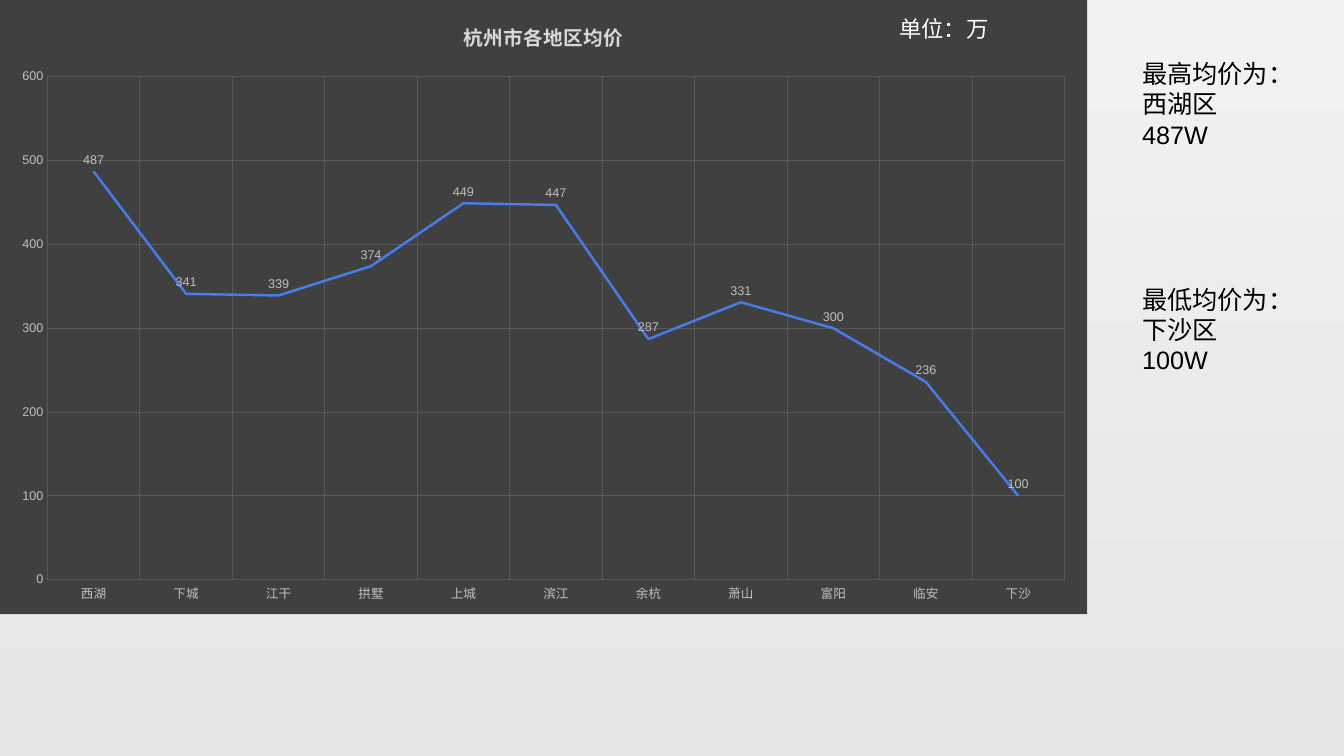
from lxml import etree
from pptx import Presentation
from pptx.chart.data import CategoryChartData
from pptx.dml.color import RGBColor
from pptx.enum.chart import XL_CHART_TYPE, XL_LABEL_POSITION, XL_MARKER_STYLE, XL_TICK_MARK
from pptx.oxml import parse_xml
from pptx.util import Inches, Pt

LINE = XL_CHART_TYPE.LINE
ABOVE = XL_LABEL_POSITION.ABOVE
NO_MARK = XL_MARKER_STYLE.NONE
NO_TICK = XL_TICK_MARK.NONE

COLORS = {
    "top": "F2F2F2", "base": "E6E4E4", "panel": "404040", "grid": "595959",
    "edge": "D9D9D9", "label": "BFBFBF", "line": "477DEA",
    "black": "000000", "white": "FFFFFF",
}
PRICES = {
    "西湖": 487, "下城": 341, "江干": 339, "拱墅": 374, "上城": 449, "滨江": 447,
    "余杭": 287, "萧山": 331, "富阳": 300, "临安": 236, "下沙": 100,
}
NS = "http://schemas.openxmlformats.org/drawingml/2006/"
C = "{" + NS + "chart}"


def rgb(name):
    return RGBColor.from_string(COLORS[name])


def style(font, size, color, face="Arial", bold=False):
    font.size = Pt(size)
    font.name = face
    font.bold = bold
    font.color.rgb = rgb(color)


def backdrop(slide):
    fill = slide.background.fill
    fill.gradient()
    fill.gradient_angle = 270
    for stop, name, place in zip(fill.gradient_stops, ("top", "base"), (0, 1)):
        stop.color.rgb = rgb(name)
        stop.position = place


def note(slide, box, lines, size, color, face="Arial"):
    frame = slide.shapes.add_textbox(*map(Inches, box)).text_frame
    frame.word_wrap = True
    frame.text = "\n".join(lines)
    for para in frame.paragraphs:
        for run in para.runs:
            style(run.font, size, color, face)


def paint(chart):
    area = parse_xml(
        f'<c:spPr xmlns:c="{NS}chart" xmlns:a="{NS}main">'
        f'<a:solidFill><a:srgbClr val="{COLORS["panel"]}"/></a:solidFill>'
        f'<a:ln w="9525"><a:solidFill><a:srgbClr val="{COLORS["edge"]}"/>'
        '</a:solidFill></a:ln></c:spPr>')
    chart.element.find(C + "chart").addnext(area)


def arrange(chart, x, y, w, h):
    plot = chart.element.find(f"{C}chart/{C}plotArea")
    for old in plot.findall(C + "layout"):
        plot.remove(old)
    layout = etree.Element(C + "layout")
    manual = etree.SubElement(layout, C + "manualLayout")
    parts = [("layoutTarget", "inner"), ("xMode", "edge"), ("yMode", "edge"),
             ("x", x), ("y", y), ("w", w), ("h", h)]
    for tag, value in parts:
        etree.SubElement(manual, C + tag, val=str(value))
    plot.insert(0, layout)


def price_chart(slide, box):
    data = CategoryChartData()
    data.categories = list(PRICES)
    data.add_series("Series 1", list(PRICES.values()))
    chart = slide.shapes.add_chart(LINE, *map(Inches, box), data).chart
    style(chart.font, 10, "black")
    chart.has_legend = False
    paint(chart)
    arrange(chart, 0.044, 0.127, 0.935, 0.817)

    chart.has_title = True
    title = chart.chart_title.text_frame
    title.text = "杭州市各地区均价"
    style(title.paragraphs[0].runs[0].font, 14, "edge", bold=True)
    chart.chart_title.include_in_layout = False

    for axis in (chart.category_axis, chart.value_axis):
        axis.major_tick_mark = axis.minor_tick_mark = NO_TICK
        axis.format.line.fill.background()
        axis.has_major_gridlines = True
        grid = axis.major_gridlines.format.line
        grid.color.rgb = rgb("grid")
        grid.width = Pt(0.75)
        style(axis.tick_labels.font, 9, "label")
    chart.value_axis.minimum_scale = 0
    chart.value_axis.maximum_scale = 600
    chart.value_axis.major_unit = 100

    plot = chart.plots[0]
    plot.vary_by_categories = False
    series = plot.series[0]
    series.smooth = False
    series.marker.style = NO_MARK
    series.format.line.color.rgb = rgb("line")
    series.format.line.width = Pt(1.75)
    labels = series.data_labels
    labels.show_value = True
    labels.position = ABOVE
    style(labels.font, 9, "label")


deck = Presentation()
deck.slide_width = Inches(13.33)
deck.slide_height = Inches(7.5)
slide = deck.slides.add_slide(deck.slide_layouts[6])
backdrop(slide)
note(slide, (11.23, 0.53, 2.07, 1.01), ("最高均价为：", "西湖区", "487W"), 18, "black")
note(slide, (11.23, 2.77, 2.07, 1.01), ("最低均价为：", "下沙区", "100W"), 18, "black")
price_chart(slide, (-0.01, -0.02, 10.8, 6.12))
note(slide, (8.82, 0.1, 1.36, 0.37), ("单位：万",), 16, "white", "Noto Sans CJK SC")
deck.save("out.pptx")
